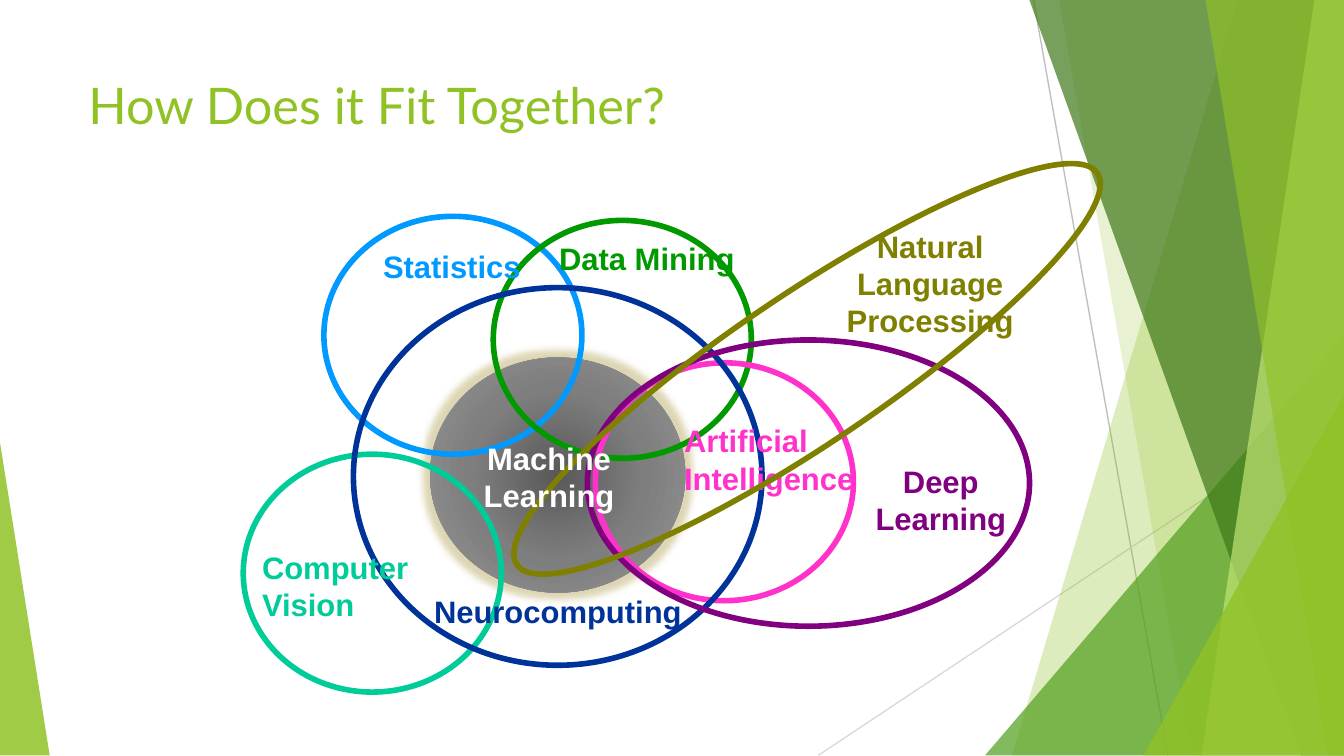
from lxml.etree import SubElement
from pptx import Presentation
from pptx.dml.color import RGBColor
from pptx.enum.shapes import MSO_CONNECTOR, MSO_SHAPE
from pptx.enum.text import MSO_ANCHOR, PP_ALIGN
from pptx.oxml import parse_xml
from pptx.oxml.ns import nsdecls, qn
from pptx.util import Inches, Pt

PX = 9144
WIDTH, HEIGHT = 1000, 562
COLORS = {
    "lime": "90C226", "green": "54A021", "forest": "3F7819", "pale": "C0E474",
    "gray": "BFBFBF", "silver": "D9D9D9", "white": "FFFFFF", "glow": "B5A55A",
    "statistics": "0099FF", "mining": "009900", "intelligence": "FF33CC",
    "vision": "00CC99", "neuro": "003399", "deep": "800080", "language": "808000",
}
CORE_STOPS = [(0, "595959"), (50, "7E7E7E"), (100, "969696")]

RAYS = [((769, 0), (869, HEIGHT), "gray"), ((WIDTH, 302), (609, HEIGHT), "silver")]
FACETS = [
    ("band", (921, 753), "lime", 30),
    ("band", (788, 887), "lime", 20),
    ("triangle", (733, 250, 267, 312, 1), "green", 72),
    ("band", (766, 968), "forest", 70),
    ("band", (978, 894), "pale", 70),
    ("band", (897, 988), "lime", 65),
    ("triangle", (851, 294, 149, 268, 1), "lime", 80),
    ("triangle", (0, 329, 37, 233, 0), "lime", 85),
]
CORE = (320, 266, 190, 175)
RINGS = [
    ((241, 161, 192, 177), "statistics"),
    ((367, 164, 192, 177), "mining"),
    ((443, 270, 192, 177), "intelligence"),
    ((181, 338, 192, 177), "vision"),
    ((263, 214, 304, 281), "neuro"),
    ((437, 253, 329, 213), "deep"),
]
LANGUAGE_RING = (545, 14, 111, 521)
LABELS = [
    ("Computer Vision", (188, 405, 124, 63), "vision", True, False),
    ("Statistics", (278, 181, 118, 35), "statistics", False, False),
    ("Data Mining", (409, 175, 146, 35), "mining", False, False),
    ("Neurocomputing", (316, 438, 200, 35), "neuro", False, False),
    ("Artificial Intelligence", (502, 311, 145, 63), "intelligence", True, False),
    ("Deep Learning", (635, 341, 130, 63), "deep", True, True),
    ("Natural Language Processing", (604, 166, 176, 91), "language", True, True),
]
CORE_LABEL = ("Machine Learning", (325, 324, 167, 63), "white", True, True)

presentation = Presentation()
presentation.slide_width, presentation.slide_height = Inches(10), Inches(5.625)
slide = presentation.slides.add_slide(presentation.slide_layouts[6])
shapes = slide.shapes


def emu(box):
    return [value * PX for value in box]


def rgb(name):
    return RGBColor.from_string(COLORS[name])


def add_text(text, box, color, wrap=True, centered=False, font="Arial", size=16.6,
             bold=True, margins=(7, 3)):
    text_box = shapes.add_textbox(*emu(box))
    frame = text_box.text_frame
    frame.word_wrap = wrap
    frame.vertical_anchor = MSO_ANCHOR.TOP
    frame.margin_left = frame.margin_right = margins[0] * PX
    frame.margin_top = frame.margin_bottom = margins[1] * PX
    paragraph = frame.paragraphs[0]
    paragraph.alignment = PP_ALIGN.CENTER if centered else PP_ALIGN.LEFT
    run = paragraph.add_run()
    run.text = text
    run.font.name, run.font.size, run.font.bold = font, Pt(size), bold
    run.font.color.rgb = rgb(color)


def add_ray(start, end, color):
    ray = shapes.add_connector(MSO_CONNECTOR.STRAIGHT, *emu(start + end))
    ray.line.color.rgb = rgb(color)
    ray.line.width = Pt(0.75)
    SubElement(ray.element.spPr, qn("a:effectLst"))


def add_facet(kind, geometry, color, opacity):
    if kind == "band":
        top, bottom = geometry
        builder = shapes.build_freeform(top, 0, scale=PX)
        builder.add_line_segments([(WIDTH, 0), (WIDTH, HEIGHT), (bottom, HEIGHT)])
        facet = builder.convert_to_shape()
    else:
        *box, apex = geometry
        facet = shapes.add_shape(MSO_SHAPE.ISOSCELES_TRIANGLE, *emu(box))
        facet.adjustments[0] = apex
    facet.shadow.inherit = False
    facet.line.fill.background()
    facet.fill.solid()
    facet.fill.fore_color.rgb = rgb(color)
    tint = facet.element.spPr.find(qn("a:solidFill"))[0]
    SubElement(tint, qn("a:alpha"), val=str(opacity * 1000))


def add_ring(box, color, rotation=0):
    ring = shapes.add_shape(MSO_SHAPE.OVAL, *emu(box))
    ring.shadow.inherit = False
    ring.fill.background()
    ring.line.color.rgb = rgb(color)
    ring.line.width = Pt(3)
    ring.rotation = rotation


def add_core(box):
    core = shapes.add_shape(MSO_SHAPE.OVAL, *emu(box))
    core.shadow.inherit = False
    core.line.fill.background()
    stops = "".join(
        f'<a:gs pos="{position * 1000}"><a:srgbClr val="{color}"/></a:gs>'
        for position, color in CORE_STOPS
    )
    gradient = parse_xml(
        f'<a:gradFill {nsdecls("a")}><a:gsLst>{stops}</a:gsLst><a:path path="circle">'
        '<a:fillToRect l="50000" t="50000" r="50000" b="50000"/></a:path></a:gradFill>'
    )
    properties = core.element.spPr
    properties.find(qn("a:prstGeom")).addnext(gradient)
    glow = SubElement(properties.find(qn("a:effectLst")), qn("a:glow"), rad=str(10 * PX))
    tint = SubElement(glow, qn("a:srgbClr"), val=COLORS["glow"])
    SubElement(tint, qn("a:alpha"), val="45000")


for ray in RAYS:
    add_ray(*ray)
for facet in FACETS:
    add_facet(*facet)
add_core(CORE)
for ring in RINGS:
    add_ring(*ring)
for label in LABELS:
    add_text(*label)
add_ring(LANGUAGE_RING, "language", rotation=56)
add_text(*CORE_LABEL)
add_text("How Does it Fit Together?", (56, 50, 705, 108), "lime",
         font="Lato", size=27, bold=False, margins=(10, 5))

presentation.save("out.pptx")
